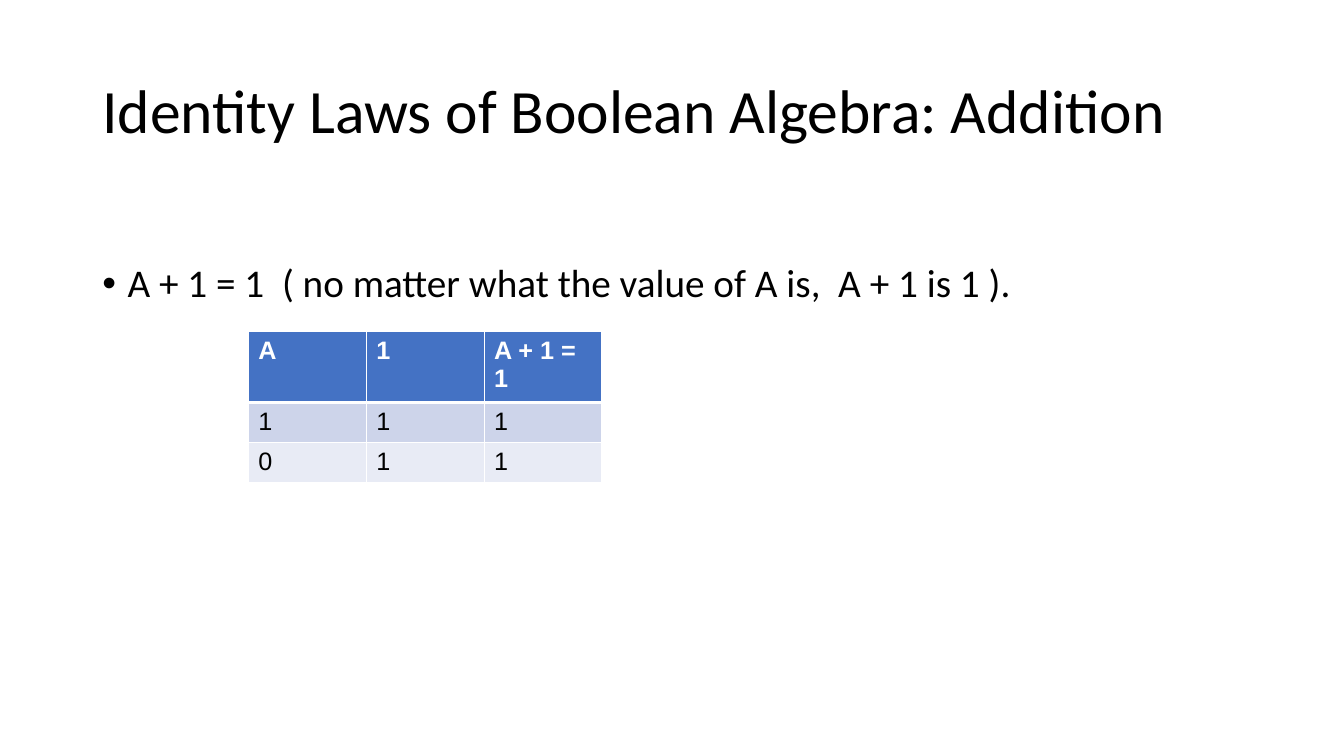
"""Build the slide on the Boolean identity law of addition."""
import pptx
import pptx.dml.color
import pptx.enum.text
import pptx.oxml
import pptx.oxml.ns
import pptx.util

Cm = pptx.util.Cm
Pt = pptx.util.Pt
COLORS = {"text": "000000", "white": "FFFFFF", "header": "4472C4",
          "band": "CDD4EA", "light": "E8EBF5"}
TRUTH_TABLE = [["A", "1", "A + 1 = 1"], ["1", "1", "1"], ["0", "1", "1"]]


def rgb(name):
    return pptx.dml.color.RGBColor.from_string(COLORS[name])


def add_xml(parent, tag, content="", **attributes):
    listed = "".join(f' {key}="{value}"' for key, value in attributes.items())
    namespace = pptx.oxml.ns.nsdecls("a")
    parent.append(pptx.oxml.parse_xml(
        f"<a:{tag} {namespace}{listed}>{content}</a:{tag}>"))


def write_text(frame, text, font="Calibri", size=28, color="text", bold=False,
               line_spacing=None, bullet=None):
    paragraph = frame.paragraphs[0]
    if bullet:
        properties = paragraph._p.get_or_add_pPr()
        properties.set("marL", str(Cm(0.635)))
        properties.set("indent", str(-Cm(0.635)))
        add_xml(properties, "buFont", typeface="Arial")
        add_xml(properties, "buChar", char=bullet)
    if line_spacing:
        paragraph.line_spacing = line_spacing
    run = paragraph.add_run()
    run.text = text
    run.font.name = font
    run.font.size = Pt(size)
    run.font.bold = bold
    run.font.color.rgb = rgb(color)


class LessonSlide:
    def __init__(self, presentation):
        self.slide = presentation.slides.add_slide(presentation.slide_layouts[6])
        self.anchors = pptx.enum.text.MSO_ANCHOR

    def text(self, text, left, top, width, height, middle=False, **style):
        shape = self.slide.shapes.add_textbox(Cm(left), Cm(top), Cm(width), Cm(height))
        frame = shape.text_frame
        frame.word_wrap = True
        frame.vertical_anchor = self.anchors.MIDDLE if middle else self.anchors.TOP
        write_text(frame, text, line_spacing=0.9, **style)

    def cell(self, cell, text, fill, header):
        bottom = 3 if header else 1
        for side, points in (("L", 1), ("R", 1), ("T", 1), ("B", bottom)):
            add_xml(cell._tc.get_or_add_tcPr(), f"ln{side}",
                    f'<a:solidFill><a:srgbClr val="{COLORS["white"]}"/></a:solidFill>',
                    w=Pt(points))
        cell.fill.solid()
        cell.fill.fore_color.rgb = rgb(fill)
        write_text(cell.text_frame, text, font="Arial", size=18, bold=header,
                   color="white" if header else "text")

    def table(self, rows, left, top, column_width, row_heights, fills):
        columns = len(rows[0])
        table = self.slide.shapes.add_table(
            len(rows), columns, Cm(left), Cm(top),
            Cm(column_width * columns), Cm(sum(row_heights))).table
        for column in table.columns:
            column.width = Cm(column_width)
        for index, values in enumerate(rows):
            table.rows[index].height = Cm(row_heights[index])
            for position, value in enumerate(values):
                self.cell(table.cell(index, position), value, fills[index], index == 0)


def main():
    presentation = pptx.Presentation()
    presentation.slide_width = Cm(33.87)
    presentation.slide_height = Cm(19.05)
    lesson = LessonSlide(presentation)
    lesson.text("Identity Laws of Boolean Algebra: Addition",
                2.33, 1.01, 29.21, 3.68, middle=True, size=44)
    lesson.text("A + 1 = 1  ( no matter what the value of A is,  A + 1 is 1 ).",
                2.33, 6.52, 29.21, 10.64, bullet="•")
    lesson.table(TRUTH_TABLE, 6.26, 8.36, 2.97, [1.66, 0.96, 0.96],
                 ["header", "band", "light"])
    presentation.save("out.pptx")


if __name__ == "__main__":
    main()
